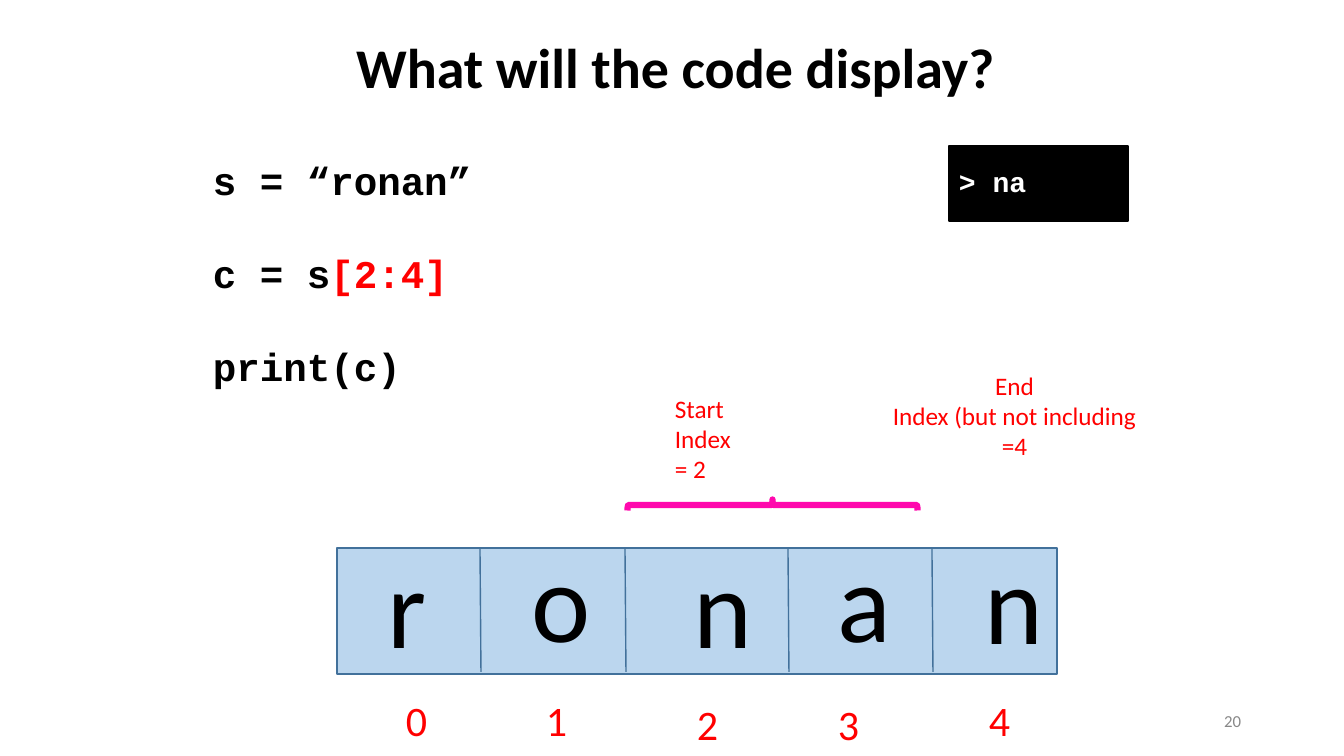
from dataclasses import dataclass

from lxml.etree import SubElement
from pptx import Presentation
from pptx.dml.color import RGBColor
from pptx.enum.shapes import MSO_CONNECTOR as Connector, MSO_SHAPE as Preset
from pptx.enum.text import MSO_ANCHOR as Anchor, PP_ALIGN as Align
from pptx.oxml.ns import qn
from pptx.util import Emu, Pt

SCALE = 914400 / 100.8  # EMU in one pixel


@dataclass(frozen=True)
class Theme:
    """Fonts, colours and type sizes of the slide."""
    body: str = "Calibri"
    mono: str = "Courier New"
    black: str = "000000"
    white: str = "FFFFFF"
    red: str = "FF0000"
    gray: str = "888888"
    cell: str = "BBD6EE"
    edge: str = "42719B"
    brace: str = "FF09AD"
    title: int = 40
    code: int = 28
    output: int = 20
    letter: int = 80
    index: int = 30
    note: int = 18
    number: int = 12


THEME = Theme()


def px(length):
    """Turn pixels into EMU."""
    return Emu(round(length * SCALE))


def color(code):
    """Turn a hex code into a colour."""
    return RGBColor.from_string(code)


def add_text(page, place, lines, size, ink, font=THEME.body, bold=False,
             align=Align.LEFT, anchor=Anchor.TOP, gap=0):
    """Add a text box; a line is a list of (text, colour) spans or a string."""
    box = page.shapes.add_textbox(*map(px, place))
    frame = box.text_frame
    frame.word_wrap = True
    frame.vertical_anchor = anchor
    for number, line in enumerate(lines):
        para = frame.paragraphs[0] if number == 0 else frame.add_paragraph()
        para.alignment = align
        para.space_before = Pt(gap if number else 0)
        para.font.name, para.font.size, para.font.bold = font, Pt(size), bold
        para.font.color.rgb = color(ink)
        for text, tint in [(line, ink)] if isinstance(line, str) else line:
            span = para.add_run()
            span.text = text
            if tint != ink:
                span.font.color.rgb = color(tint)


def add_preset(page, preset, place, edge, fill=None, weight=1):
    """Add a preset shape without shadow and return it."""
    shape = page.shapes.add_shape(preset, *map(px, place))
    shape.shadow.inherit = False
    if fill:
        shape.fill.solid()
        shape.fill.fore_color.rgb = color(fill)
    else:
        shape.fill.background()
    shape.line.color.rgb = color(edge)
    shape.line.width = Pt(weight)
    return shape


def add_divider(page, x, top, bottom):
    """Add a slightly slanted line between two cells."""
    line = page.shapes.add_connector(
        Connector.STRAIGHT, px(x), px(top), px(x + 1), px(bottom))
    line.line.color.rgb = color(THEME.edge)
    line.line.width = Pt(1)
    SubElement(line._element.spPr, qn("a:effectLst"))


def add_string_cells(page):
    """Draw the string as a row of cells with an index below each letter."""
    add_preset(page, Preset.RECTANGLE, (337, 548, 720, 126), THEME.edge, THEME.cell)
    for x in (480, 625, 788, 932):
        add_divider(page, x, 548, 672)
    letters = [("r", 378, 532, 60), ("o", 522, 526, 80), ("n", 684, 532, 80),
               ("a", 828, 526, 75), ("n", 975, 528, 80)]
    for letter, left, top, width in letters:
        add_text(page, (left, top, width, 146), [letter], THEME.letter, THEME.black)
    indexes = [(396, 690), (536, 690), (687, 694), (828, 694), (979, 690)]
    for index, (left, top) in enumerate(indexes):
        add_text(page, (left, top, 42, 61), [str(index)], THEME.index, THEME.red)


def add_slice_notes(page):
    """Mark the slice with a brace and name its two ends."""
    add_text(page, (665, 388, 77, 102), ["Start", "Index", "= 2"],
             THEME.note, THEME.red)
    add_text(page, (881, 365, 267, 102), ["End", "Index (but not including", "=4"],
             THEME.note, THEME.red, align=Align.CENTER)
    brace = add_preset(page, Preset.LEFT_BRACE, (767, 360, 11, 290),
                       THEME.brace, weight=4.5)
    brace.rotation = 90


def add_output(page):
    """Draw the console with the printed result."""
    add_preset(page, Preset.RECTANGLE, (949, 146, 179, 75), THEME.black, THEME.black)
    add_text(page, (949, 160, 89, 44), ["> na"], THEME.output, THEME.white,
             THEME.mono, bold=True)


def main():
    """Build the slide and save it."""
    deck = Presentation()
    deck.slide_width, deck.slide_height = px(1344), px(756)
    page = deck.slides.add_slide(deck.slide_layouts[6])
    add_text(page, (294, 28, 763, 78), ["What will the code display?"],
             THEME.title, THEME.black, bold=True, align=Align.CENTER)
    add_text(page, (949, 701, 302, 40), ["20"], THEME.number, THEME.gray,
             align=Align.RIGHT, anchor=Anchor.MIDDLE)
    code = ["s = “ronan”", [("c = s", THEME.black), ("[2:4]", THEME.red)], "print(c)"]
    add_text(page, (203, 151, 281, 248), code, THEME.code, THEME.black,
             THEME.mono, bold=True, gap=33)
    add_string_cells(page)
    add_slice_notes(page)
    add_output(page)
    deck.save("out.pptx")


main()
